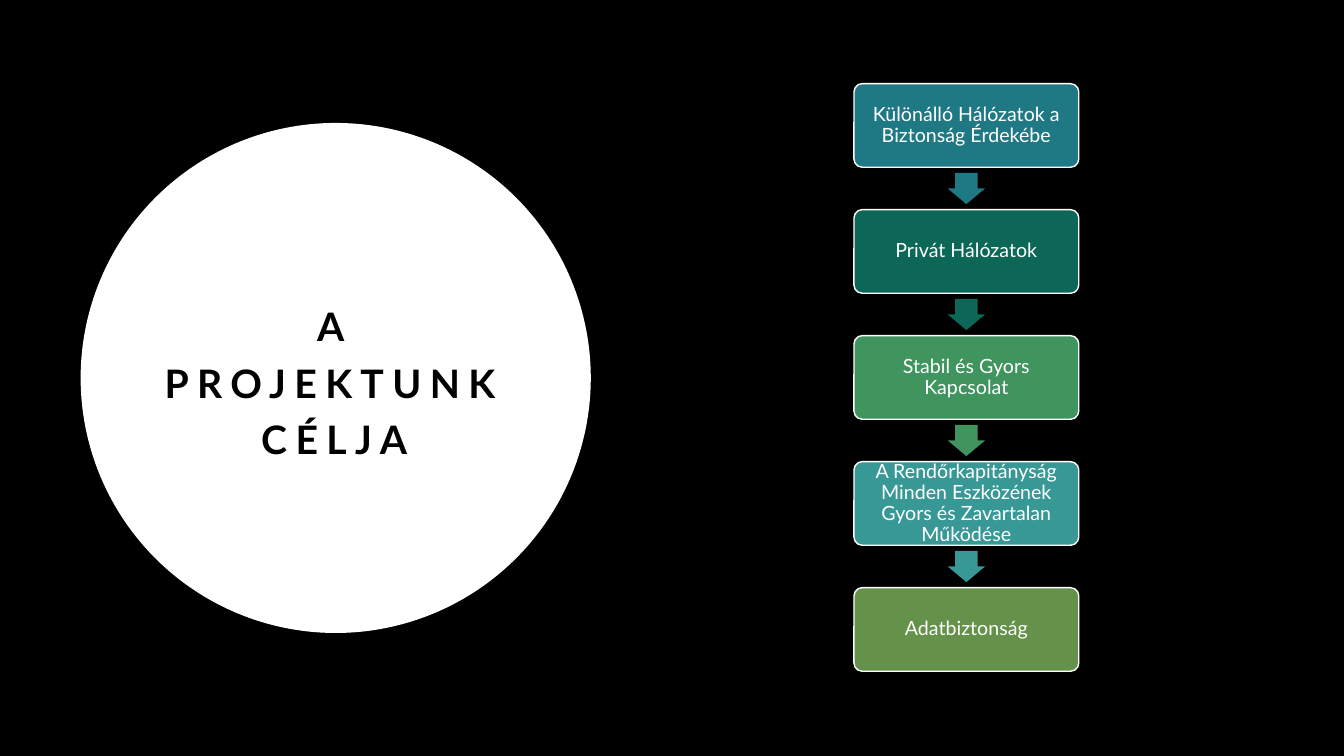
from dataclasses import dataclass

from pptx import Presentation
from pptx.dml.color import RGBColor
from pptx.enum import shapes, text
from pptx.util import Inches, Pt

FONT = "Lato"
WHITE, BLACK = "FFFFFF", "000000"
BOX_LEFT, BOX_TOP, BOX_W, BOX_H = 8.47, 0.83, 2.23, 0.83
STEP = 1.25
ARROW_W, ARROW_H = 0.37, 0.31


@dataclass
class Goal:
    label: str
    color: str


GOALS = [
    Goal("Különálló Hálózatok a Biztonság Érdekébe", "1F7985"),
    Goal("Privát Hálózatok", "0D6756"),
    Goal("Stabil és Gyors Kapcsolat", "40945E"),
    Goal("A Rendőrkapitányság Minden Eszközének Gyors és Zavartalan Működése", "389896"),
    Goal("Adatbiztonság", "64924A"),
]


def set_fill(fill, color: str) -> None:
    fill.solid()
    fill.fore_color.rgb = RGBColor.from_string(color)


def add_shape(s, kind, left: float, top: float, width: float, height: float, color: str):
    """Add a flat shape without outline or shadow."""
    sp = s.shapes.add_shape(kind, Inches(left), Inches(top), Inches(width), Inches(height))
    sp.shadow.inherit = False
    set_fill(sp.fill, color)
    sp.line.fill.background()
    return sp


def write(sp, words: str, size: float, color: str, spacing: float, bold: bool = False):
    """Write one centred paragraph into the shape and return it."""
    tf = sp.text_frame
    tf.text = words
    tf.word_wrap = True
    tf.auto_size = text.MSO_AUTO_SIZE.NONE
    tf.vertical_anchor = text.MSO_ANCHOR.MIDDLE
    p = tf.paragraphs[0]
    p.alignment = text.PP_ALIGN.CENTER
    p.line_spacing = spacing
    p.font.name = FONT
    p.font.size = Pt(size)
    p.font.bold = bold
    p.font.color.rgb = RGBColor.from_string(color)
    return p


def add_title(s) -> None:
    circle = add_shape(s, shapes.MSO_SHAPE.OVAL, 0.8, 1.22, 5.06, 5.06, WHITE)
    title = s.shapes.title
    title.left, title.top = Inches(1.32), Inches(2.5)
    title.width, title.height = Inches(3.99), Inches(2.5)
    p = write(title, "A PROJEKTUNK CÉLJA", 28, BLACK, 1.2, bold=True)
    p.runs[0].font.bold = True
    p.runs[0]._r.get_or_add_rPr().set("spc", "600")
    circle.element.addnext(title.element)


def add_goal(s, goal: Goal, top: float) -> None:
    box = add_shape(s, shapes.MSO_SHAPE.ROUNDED_RECTANGLE, BOX_LEFT, top, BOX_W, BOX_H, goal.color)
    box.adjustments[0] = 0.1
    set_fill(box.line.fill, WHITE)
    box.line.width = Pt(1)
    tf = box.text_frame
    tf.margin_left = tf.margin_right = tf.margin_top = tf.margin_bottom = Inches(0.08)
    write(box, goal.label, 14, WHITE, 0.9)


def add_arrow(s, color: str, box_top: float) -> None:
    """Centre a down arrow in the gap below the box."""
    left = BOX_LEFT + (BOX_W - ARROW_W) / 2
    top = box_top + (BOX_H + STEP - ARROW_H) / 2
    arrow = add_shape(s, shapes.MSO_SHAPE.DOWN_ARROW, left, top, ARROW_W, ARROW_H, color)
    arrow.adjustments[0] = 0.6
    arrow.adjustments[1] = 0.5


def main() -> None:
    prs = Presentation()
    prs.slide_width, prs.slide_height = Inches(13.33), Inches(7.5)
    s = prs.slides.add_slide(prs.slide_layouts[5])
    set_fill(s.background.fill, BLACK)
    add_title(s)
    for i, goal in enumerate(GOALS):
        top = BOX_TOP + i * STEP
        add_goal(s, goal, top)
        if i < len(GOALS) - 1:
            add_arrow(s, goal.color, top)
    prs.save("out.pptx")


if __name__ == "__main__":
    main()
